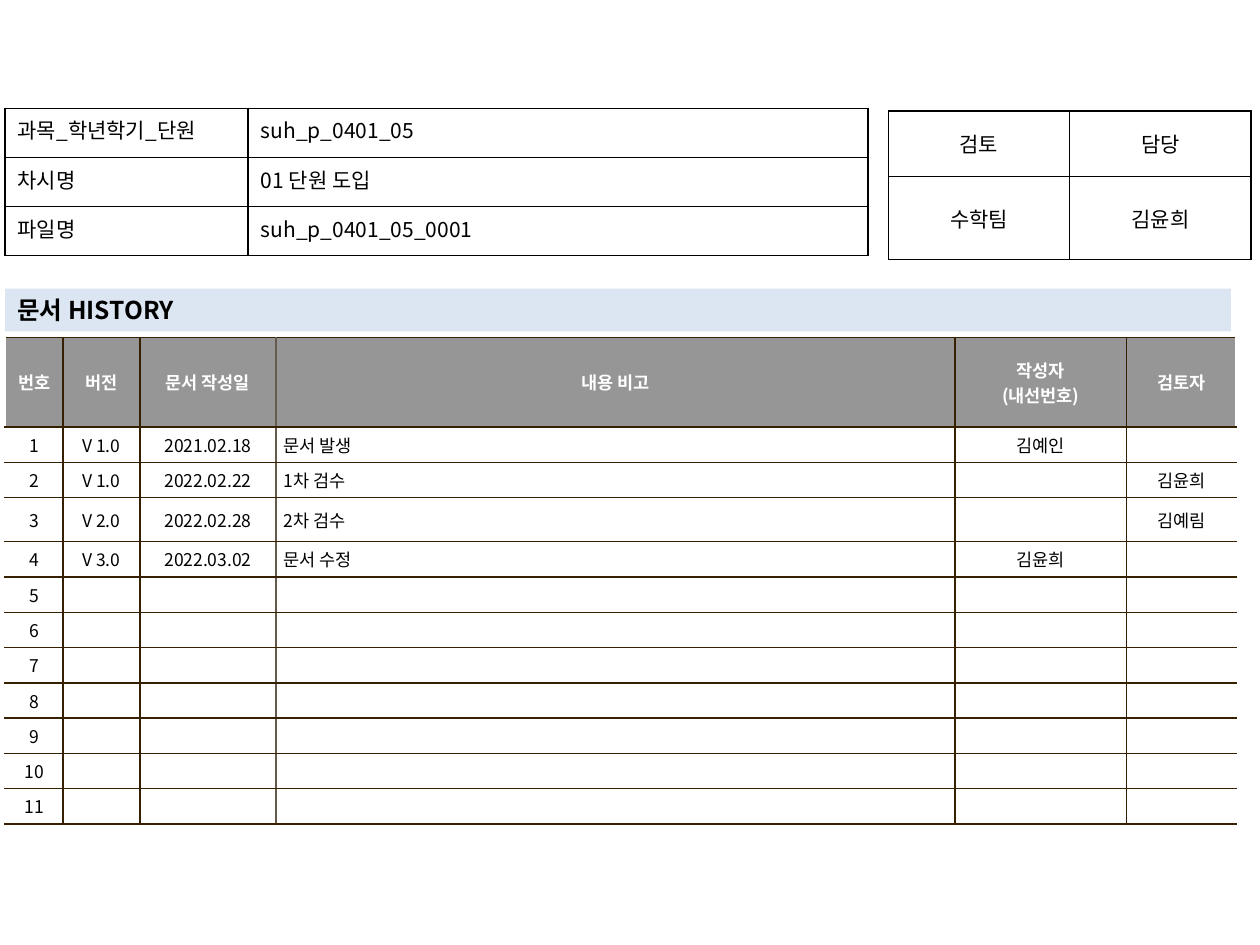
from lxml.etree import SubElement
from pptx import Presentation
from pptx.dml.color import RGBColor
from pptx.enum.shapes import MSO_SHAPE
from pptx.enum.text import MSO_ANCHOR, MSO_AUTO_SIZE, PP_ALIGN
from pptx.oxml.ns import qn
from pptx.util import Inches, Pt

FONT = "Noto Sans CJK KR"
BLACK, WHITE, GRAY = "000000", "FFFFFF", "969696"
BROWN, TAUPE, PALE_BLUE = "362000", "645B4C", "DCE6F2"
# The slide is a fine grid of 1000 columns by 750 rows; lengths count its cells.
GRID_COLUMNS, GRID_ROWS = 1000, 750
CELL = Inches(10) // GRID_COLUMNS
LEFT_EDGE = 4


def grid(*counts):
    return [count * CELL for count in counts]


def color(hex_code):
    return RGBColor.from_string(hex_code)


def write(frame, text, size, ink=BLACK, bold=False, align=None, hang=0):
    frame.text = text
    for paragraph in frame.paragraphs:
        if align is not None:
            paragraph.alignment = align
        if hang:
            properties = paragraph._p.get_or_add_pPr()
            properties.set("marL", str(hang * CELL))
            properties.set("indent", str(-hang * CELL))
        for run in paragraph.runs:
            run.font.name, run.font.size, run.font.bold = FONT, Pt(size), bold
            run.font.color.rgb = color(ink)
            SubElement(run._r.get_or_add_rPr(), qn("a:ea"), typeface=FONT)
        if not paragraph.runs:
            # An empty cell keeps the row's text height
            SubElement(paragraph._p, qn("a:endParaRPr"), sz=str(size * 100))


def draw_borders(cell, **sides):
    properties = cell._tc.get_or_add_tcPr()
    for side in "LRTB":
        if side in sides:
            line = SubElement(properties, qn(f"a:ln{side}"), w=str(Pt(1)))
            fill = SubElement(line, qn("a:solidFill"))
            SubElement(fill, qn("a:srgbClr"), val=sides[side])


def add_grid_table(slide, left, top, widths, heights):
    frame = slide.shapes.add_table(
        len(heights), len(widths),
        *grid(left, top, sum(widths), sum(heights)))
    table = frame.table
    table.first_row = table.horz_banding = False
    for column, width in zip(table.columns, grid(*widths)):
        column.width = width
    for row, height in zip(table.rows, grid(*heights)):
        row.height = height
    return table


def set_insets(cell, side, end):
    cell.margin_left = cell.margin_right = side * CELL
    cell.margin_top = cell.margin_bottom = end * CELL


def add_info_table(slide, left, top, widths, heights, rows, aligns, anchor):
    table = add_grid_table(slide, left, top, widths, heights)
    for r, texts in enumerate(rows):
        for c, text in enumerate(texts):
            cell = table.cell(r, c)
            set_insets(cell, 10, 5)
            cell.vertical_anchor = anchor
            draw_borders(cell, **dict.fromkeys("LRTB", BLACK))
            cell.fill.background()
            write(cell.text_frame, text, 12, align=aligns[c])


def add_history_table(slide, headings, records):
    widths = [46, 61, 108, 539, 136, 87]
    heights = [71, 25, 24, 35] + [25] * 8
    table = add_grid_table(slide, LEFT_EDGE, 268, widths, heights)
    remark, reviewer = 3, 5
    inner_lines = [BROWN, BROWN, TAUPE, BROWN, BROWN]
    for r, texts in enumerate([headings] + records):
        heading = r == 0
        for c, text in enumerate(texts):
            cell = table.cell(r, c)
            set_insets(cell, 6, 4)
            cell.vertical_anchor = MSO_ANCHOR.MIDDLE
            # The outer left and right sides stay open
            sides = {"T": BROWN, "B": BROWN}
            if c > 0:
                sides["L"] = inner_lines[c - 1]
            if c < len(inner_lines):
                sides["R"] = inner_lines[c]
            draw_borders(cell, **sides)
            cell.fill.solid()
            cell.fill.fore_color.rgb = color(GRAY if heading else WHITE)
            left_aligned = c == remark and not heading
            write(cell.text_frame, text, 10,
                  ink=WHITE if heading else BLACK, bold=heading,
                  align=PP_ALIGN.LEFT if left_aligned else PP_ALIGN.CENTER,
                  hang=0 if heading else {remark: 19, reviewer: 9}.get(c, 0))


def add_title_band(slide, text):
    band = slide.shapes.add_shape(
        MSO_SHAPE.RECTANGLE, *grid(LEFT_EDGE, 229, 973, 34))
    band.shadow.inherit = False
    band.fill.solid()
    band.fill.fore_color.rgb = color(PALE_BLUE)
    band.line.fill.background()
    frame = band.text_frame
    frame.word_wrap = True
    frame.auto_size = MSO_AUTO_SIZE.SHAPE_TO_FIT_TEXT
    frame.vertical_anchor = MSO_ANCHOR.TOP
    write(frame, text, 14, bold=True, align=PP_ALIGN.LEFT)


def main():
    deck = Presentation()
    deck.slide_width, deck.slide_height = grid(GRID_COLUMNS, GRID_ROWS)
    slide = deck.slides.add_slide(deck.slide_layouts[6])

    # Revision history
    headings = ["번호", "버전", "문서 작성일", "내용 비고",
                "작성자\n(내선번호)", "검토자"]
    revisions = [
        ["V 1.0", "2021.02.18", "문서 발생", "김예인", ""],
        ["V 1.0", "2022.02.22", "1차 검수", "", "김윤희"],
        ["V 2.0", "2022.02.28", "2차 검수", "", "김예림"],
        ["V 3.0", "2022.03.02", "문서 수정", "김윤희", ""],
    ]
    revisions += [[""] * 5] * 7
    records = [[str(number)] + revision
               for number, revision in enumerate(revisions, 1)]
    add_history_table(slide, headings, records)

    # Review and responsibility
    add_info_table(slide, 705, 88, [144, 144], [52, 66],
                   [["검토", "담당"], ["수학팀", "김윤희"]],
                   [PP_ALIGN.CENTER] * 2, MSO_ANCHOR.MIDDLE)

    # Section title
    add_title_band(slide, "문서 HISTORY")

    # Subject, lesson and file
    add_info_table(slide, LEFT_EDGE, 86, [193, 492], [39] * 3,
                   [["과목_학년학기_단원", "suh_p_0401_05"],
                    ["차시명", "01 단원 도입"],
                    ["파일명", "suh_p_0401_05_0001"]],
                   [PP_ALIGN.JUSTIFY, PP_ALIGN.LEFT], MSO_ANCHOR.TOP)

    deck.save("out.pptx")


if __name__ == "__main__":
    main()
